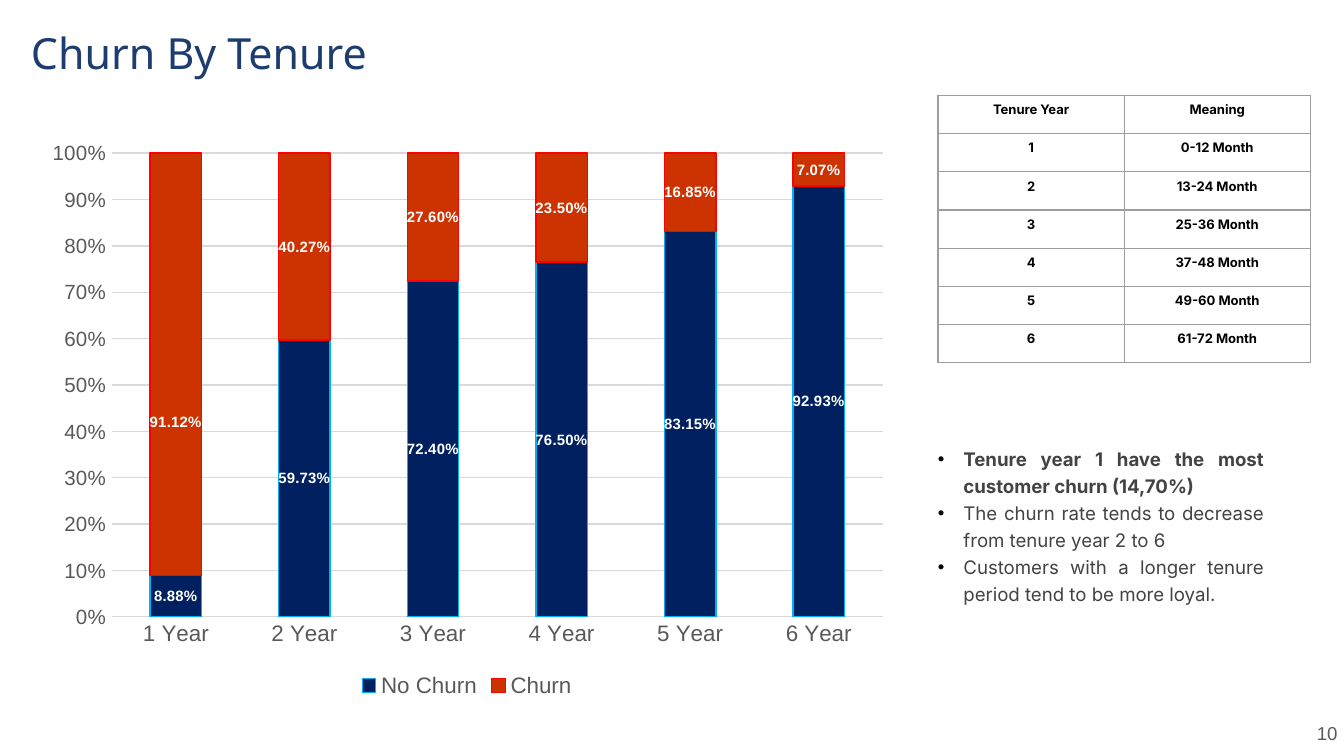
from dataclasses import dataclass

import pptx
import pptx.chart.data
import pptx.dml.color
import pptx.enum.chart
import pptx.enum.text
import pptx.oxml
import pptx.oxml.ns
import pptx.util
from pptx.util import Inches

COLORS = {
    "title": "1D3D70", "body": "434343", "gray": "595959", "black": "000000",
    "white": "FFFFFF", "grid": "D9D9D9", "border": "9E9E9E",
}
ALIGN = pptx.enum.text.PP_ALIGN
ANCHOR = pptx.enum.text.MSO_ANCHOR


@dataclass
class Box:
    left: float
    top: float
    width: float
    height: float

    def lengths(self) -> list:
        return [Inches(v) for v in (self.left, self.top, self.width, self.height)]


@dataclass
class ChurnSeries:
    name: str
    values: list
    fill: str
    line: str


@dataclass
class Finding:
    text: str
    bold: bool = False


SERIES = [
    ChurnSeries("No Churn", [0.0888, 0.5973, 0.724, 0.765, 0.8315, 0.9293], "002060", "00B0F0"),
    ChurnSeries("Churn", [0.9112, 0.4027, 0.276, 0.235, 0.1685, 0.0707], "CC3300", "FF0000"),
]
FINDINGS = [
    Finding("Tenure year 1 have the most customer churn (14,70%)", True),
    Finding("The churn rate tends to decrease from tenure year 2 to 6"),
    Finding("Customers with a longer tenure period tend to be more loyal."),
]
YEARS = range(1, 7)


def rgb(hex_color: str):
    return pptx.dml.color.RGBColor.from_string(hex_color)


def set_values(target, values: dict) -> None:
    for name, value in values.items():
        setattr(target, name, value)


def format_font(font, size: float, color: str, name: str = "Arial", bold: bool = False) -> None:
    set_values(font, {"size": pptx.util.Pt(size), "name": name, "bold": bold})
    font.color.rgb = rgb(COLORS[color])


def format_line(line, color: str) -> None:
    line.color.rgb = rgb(color)
    line.width = pptx.util.Pt(0.75)


def xml(text: str, prefix: str):
    """Parse one element after declaring its namespace."""
    tag, rest = text[1:].split(" ", 1)
    return pptx.oxml.parse_xml(f"<{tag} {pptx.oxml.ns.nsdecls(prefix)} {rest}")


def manual_layout(values: dict):
    items = "".join(f'<c:{key} val="{value}"/>' for key, value in values.items())
    return xml(f"<c:layout ><c:manualLayout>{items}</c:manualLayout></c:layout>", "c")


def prepare_frame(frame, anchor=ANCHOR.TOP) -> None:
    set_values(frame, {"word_wrap": True, "vertical_anchor": anchor,
                       "auto_size": pptx.enum.text.MSO_AUTO_SIZE.NONE})
    set_values(frame, {f"margin_{side}": Inches(0.1)
                       for side in ("left", "right", "top", "bottom")})


def add_title(slide, text: str, box: Box) -> None:
    title = slide.shapes.title
    set_values(title, dict(zip(("left", "top", "width", "height"), box.lengths())))
    prepare_frame(title.text_frame)
    title.text_frame.text = text
    paragraph = title.text_frame.paragraphs[0]
    paragraph.alignment = ALIGN.LEFT
    format_font(paragraph.font, 23, "title", "Noto Sans")


def add_page_number(slide, text: str, box: Box) -> None:
    frame = slide.shapes.add_textbox(*box.lengths()).text_frame
    prepare_frame(frame, ANCHOR.MIDDLE)
    paragraph = frame.paragraphs[0]
    paragraph.text = text
    paragraph.alignment = ALIGN.RIGHT
    format_font(paragraph.font, 10, "gray")


def add_findings(slide, findings: list, box: Box) -> None:
    frame = slide.shapes.add_textbox(*box.lengths()).text_frame
    prepare_frame(frame)
    for index, finding in enumerate(findings):
        paragraph = frame.add_paragraph() if index else frame.paragraphs[0]
        paragraph.text = finding.text
        properties = paragraph._p.get_or_add_pPr()
        indent = Inches(0.19)
        properties.set("marL", str(indent))
        properties.set("indent", str(-indent))
        properties.append(xml(f'<a:buClr ><a:srgbClr val="{COLORS["black"]}"/></a:buClr>', "a"))
        properties.append(xml('<a:buFont typeface="Arial"/>', "a"))
        properties.append(xml('<a:buChar char="•"/>', "a"))
        set_values(paragraph, {"alignment": ALIGN.JUSTIFY, "line_spacing": 1.2})
        format_font(paragraph.font, 10, "body", "Inter", finding.bold)


def add_tenure_table(slide, rows: list, box: Box) -> None:
    table = slide.shapes.add_table(len(rows), len(rows[0]), *box.lengths()).table
    set_values(table, {"first_row": False, "horz_banding": False})
    for row_index, row in enumerate(rows):
        for column_index, text in enumerate(row):
            cell = table.cell(row_index, column_index)
            cell.text = text
            paragraph = cell.text_frame.paragraphs[0]
            paragraph.alignment = ALIGN.CENTER
            format_font(paragraph.font, 7, "black", "Inter", True)
            cell.fill.background()
            properties = cell._tc.get_or_add_tcPr()
            for position, side in enumerate("LRTB"):
                properties.insert(position, xml(
                    f'<a:ln{side} w="{pptx.util.Pt(0.75)}"><a:solidFill>'
                    f'<a:srgbClr val="{COLORS["border"]}"/></a:solidFill></a:ln{side}>', "a"))


def add_churn_chart(slide, box: Box) -> None:
    data = pptx.chart.data.CategoryChartData(number_format="0.00%")
    data.categories = [f"{year} Year" for year in YEARS]
    for item in SERIES:
        data.add_series(item.name, item.values)
    kind = pptx.enum.chart.XL_CHART_TYPE.COLUMN_STACKED_100
    chart = slide.shapes.add_chart(kind, *box.lengths(), data).chart
    format_font(chart.font, 10, "black")
    chart.has_title = False
    plot = chart.plots[0]
    set_values(plot, {"gap_width": 150, "overlap": 100, "vary_by_categories": False})
    plot_area = chart._chartSpace.chart.plotArea
    for old_layout in plot_area.findall(pptx.oxml.ns.qn("c:layout")):
        plot_area.remove(old_layout)
    plot_area.insert(0, manual_layout({
        "layoutTarget": "inner", "xMode": "edge", "yMode": "edge",
        "x": 0.09, "y": 0.04, "w": 0.89, "h": 0.81}))

    # Axes and legend
    no_tick = pptx.enum.chart.XL_TICK_MARK.NONE
    for axis, size in ((chart.category_axis, 12), (chart.value_axis, 11)):
        set_values(axis, {"major_tick_mark": no_tick, "minor_tick_mark": no_tick})
        format_font(axis.tick_labels.font, size, "gray")
    format_line(chart.category_axis.format.line, COLORS["grid"])
    value_axis = chart.value_axis
    set_values(value_axis, {"minimum_scale": 0, "maximum_scale": 1, "major_unit": 0.1})
    set_values(value_axis.tick_labels, {"number_format": "0%", "number_format_is_linked": False})
    value_axis.format.line.fill.background()
    format_line(value_axis.major_gridlines.format.line, COLORS["grid"])
    chart.has_legend = True
    set_values(chart.legend, {"position": pptx.enum.chart.XL_LEGEND_POSITION.BOTTOM,
                              "include_in_layout": False})
    format_font(chart.legend.font, 12, "gray")

    # Series and their labels
    center = pptx.enum.chart.XL_LABEL_POSITION.CENTER
    for series, item in zip(plot.series, SERIES):
        series.format.fill.solid()
        series.format.fill.fore_color.rgb = rgb(item.fill)
        format_line(series.format.line, item.line)
        set_values(series.data_labels, {
            "show_value": True, "position": center,
            "number_format": "0.00%", "number_format_is_linked": False})
        format_font(series.data_labels.font, 8, "white", bold=True)
        for leader in series._element.iter(pptx.oxml.ns.qn("c:showLeaderLines")):
            leader.set("val", "0")

    # The tall first column carries its label below the middle
    churn = plot.series[1]
    label = churn.points[0].data_label
    label.position = center
    format_font(label.font, 8, "white", bold=True)
    element = churn._element.find(".//" + pptx.oxml.ns.qn("c:dLbl"))
    element.insert(1, manual_layout({"x": 0, "y": 0.1}))


def main() -> None:
    presentation = pptx.Presentation()
    width = Inches(10)
    set_values(presentation, {"slide_width": width, "slide_height": width * 9 // 16})
    slide = presentation.slides.add_slide(presentation.slide_layouts[5])
    months = [(str(year), f"{12 * year - 11 if year > 1 else 0}-{12 * year} Month")
              for year in YEARS]
    add_page_number(slide, "10", Box(9.67, 5.24, 0.38, 0.43))
    add_title(slide, "Churn By Tenure", Box(0.13, 0.1, 3.16, 0.61))
    add_findings(slide, FINDINGS, Box(6.88, 3.2, 2.62, 1.71))
    add_churn_chart(slide, Box(0.25, 0.97, 6.45, 4.26))
    add_tenure_table(slide, [("Tenure Year", "Meaning"), *months], Box(6.98, 0.71, 2.77, 1.99))
    presentation.save("out.pptx")


if __name__ == "__main__":
    main()
